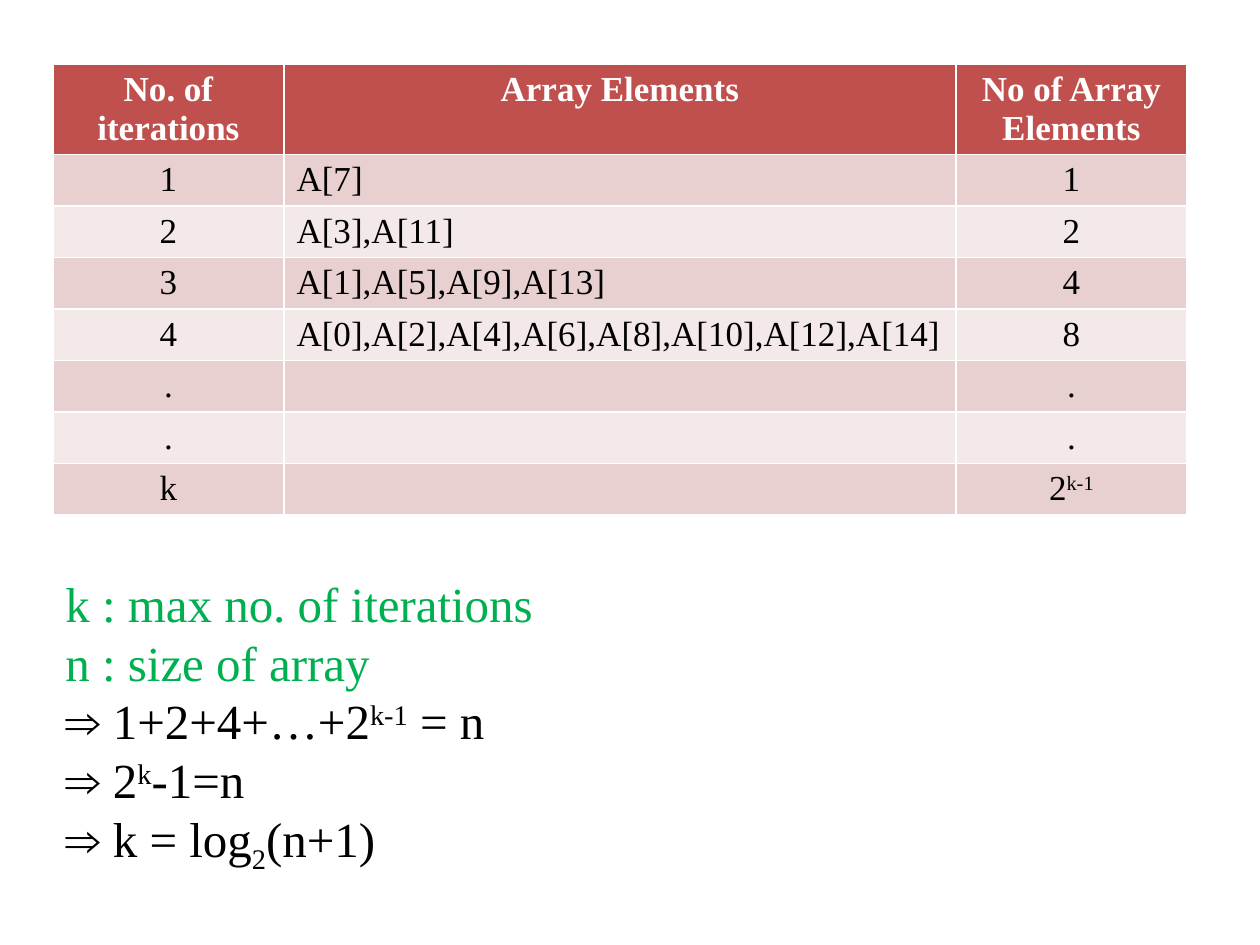
import pptx
import pptx.dml.color
import pptx.enum.text
import pptx.util

PX = 914400 // 126
FONT = "Times New Roman"
WHITE = pptx.dml.color.RGBColor(0xFF, 0xFF, 0xFF)
BLACK = pptx.dml.color.RGBColor(0x00, 0x00, 0x00)
GREEN = pptx.dml.color.RGBColor(0x00, 0xB0, 0x50)
HEADER_RED = pptx.dml.color.RGBColor(0xC0, 0x50, 0x4D)
BANDS = (
    pptx.dml.color.RGBColor(0xF4, 0xE9, 0xE9),
    pptx.dml.color.RGBColor(0xE8, 0xD0, 0xD0),
)
SUPER, SUB = 30, -25

COLUMN_WIDTHS = (231, 672, 231)
HEADER_HEIGHT, ROW_HEIGHT = 88, 51
ITERATIONS = [
    ["No. of iterations", "Array Elements", "No of Array Elements"],
    ["1", "A[7]", "1"],
    ["2", "A[3],A[11]", "2"],
    ["3", "A[1],A[5],A[9],A[13]", "4"],
    ["4", "A[0],A[2],A[4],A[6],A[8],A[10],A[12],A[14]", "8"],
    [".", "", "."],
    [".", "", "."],
    ["k", "", ["2", ("k-1", SUPER)]],
]
DERIVATION = [
    ("k : max no. of iterations", GREEN),
    ("n : size of array", GREEN),
    (["⇒ 1+2+4+…+2", ("k-1", SUPER), " = n"], BLACK),
    (["⇒ 2", ("k", SUPER), "-1=n"], BLACK),
    (["⇒ k = log", ("2", SUB), "(n+1)"], BLACK),
]


def px(length):
    return pptx.util.Emu(length * PX)


def write_para(para, content, size, color, bold=False):
    """Fill a paragraph from a string or a list of strings and (text, baseline) pairs."""
    para.font.name = FONT
    para.font.size = pptx.util.Pt(size)
    para.font.color.rgb = color
    para.font.bold = bold
    for piece in [content] if isinstance(content, str) else content:
        text, baseline = (piece, 0) if isinstance(piece, str) else piece
        if not text:
            continue
        span = para.add_run()
        span.text = text
        if baseline:
            span._r.get_or_add_rPr().set("baseline", str(baseline * 1000))


def add_iteration_table(page):
    height = HEADER_HEIGHT + ROW_HEIGHT * (len(ITERATIONS) - 1)
    table = page.shapes.add_table(
        len(ITERATIONS), len(COLUMN_WIDTHS),
        px(53), px(64), px(sum(COLUMN_WIDTHS)), px(height),
    ).table
    for column, width in zip(table.columns, COLUMN_WIDTHS):
        column.width = px(width)
    for i, row in enumerate(ITERATIONS):
        header = i == 0
        table.rows[i].height = px(HEADER_HEIGHT if header else ROW_HEIGHT)
        for j, content in enumerate(row):
            cell = table.cell(i, j)
            cell.fill.solid()
            cell.fill.fore_color.rgb = HEADER_RED if header else BANDS[i % 2]
            para = cell.text_frame.paragraphs[0]
            write_para(para, content, 20, WHITE if header else BLACK, header)
            if header or j != 1:
                para.alignment = pptx.enum.text.PP_ALIGN.CENTER


def add_derivation(page):
    box = page.shapes.add_textbox(px(53), px(567), px(1144), px(310))
    frame = box.text_frame
    frame.word_wrap = True
    frame.auto_size = pptx.enum.text.MSO_AUTO_SIZE.SHAPE_TO_FIT_TEXT
    for i, (content, color) in enumerate(DERIVATION):
        para = frame.add_paragraph() if i else frame.paragraphs[0]
        write_para(para, content, 28, color)


def main():
    deck = pptx.Presentation()
    deck.slide_width, deck.slide_height = px(1260), px(945)
    page = deck.slides.add_slide(deck.slide_layouts[6])
    add_iteration_table(page)
    add_derivation(page)
    deck.save("out.pptx")


if __name__ == "__main__":
    main()
